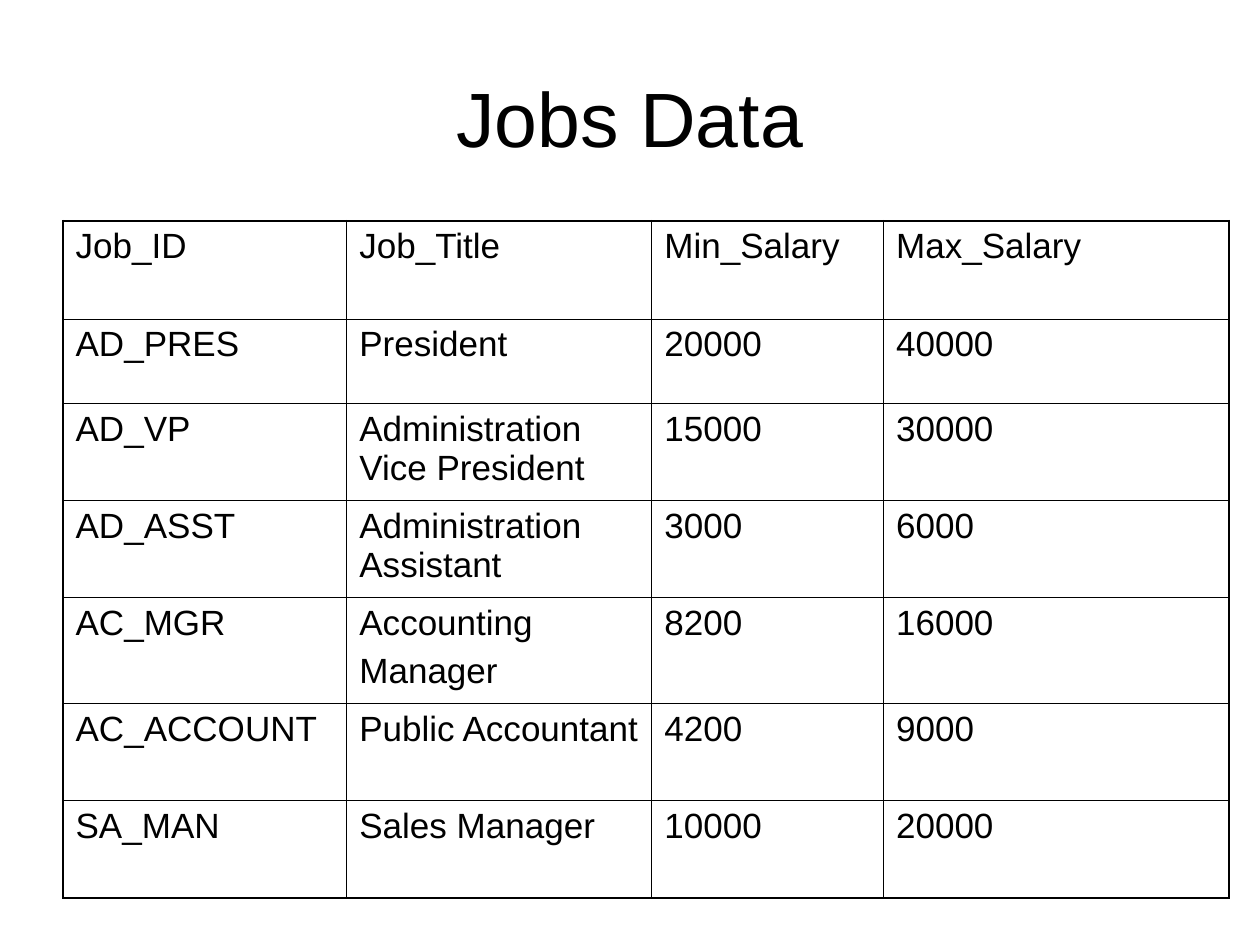
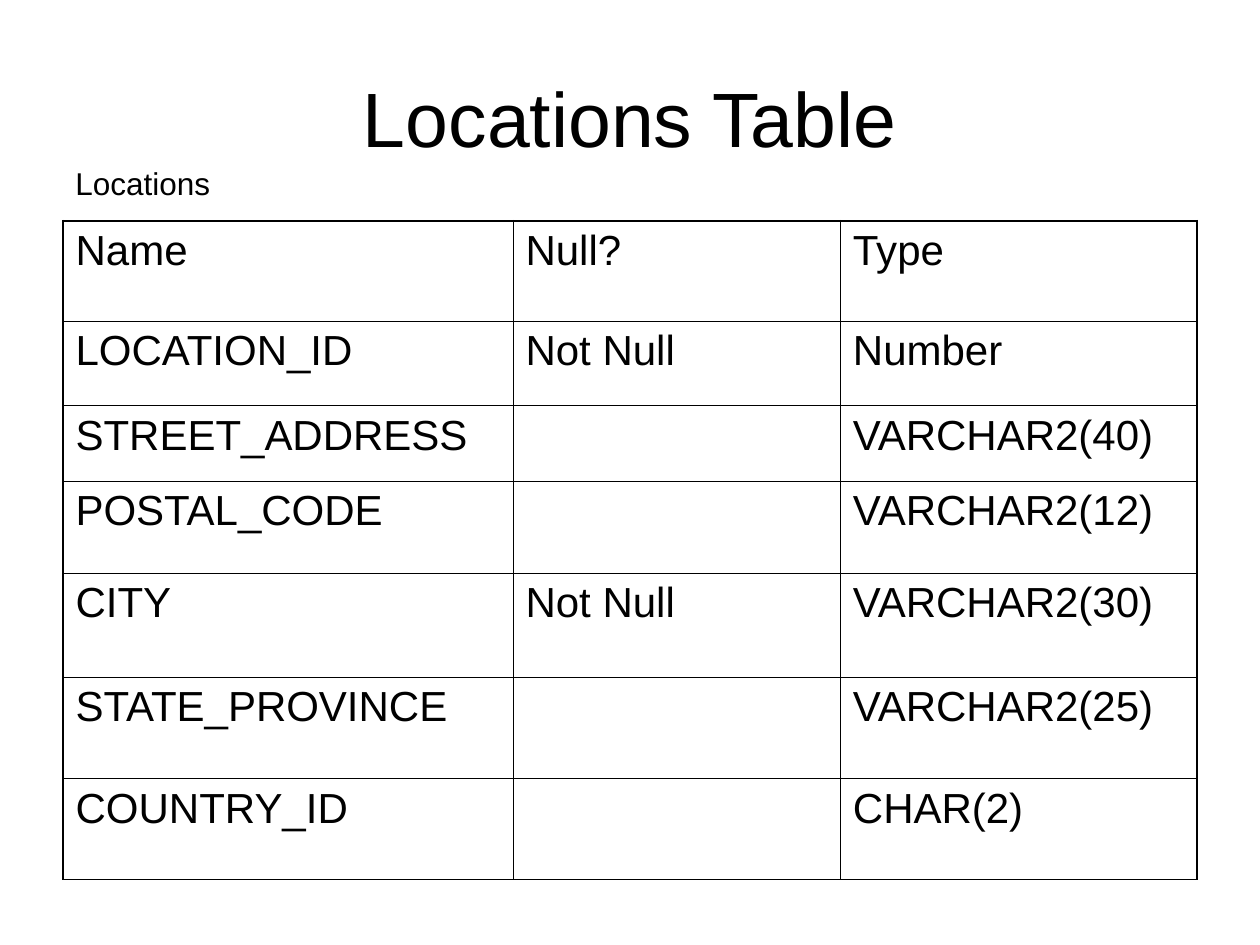
"""Builds two slides of database tables: jobs data and the locations layout."""
import dataclasses

import lxml.etree
import pptx
import pptx.dml.color
import pptx.enum.text
import pptx.oxml.ns
import pptx.util
from pptx.util import Cm


@dataclasses.dataclass(frozen=True)
class Theme:
    font: str = "Arial"
    ink: str = "000000"
    title: int = 44
    caption: int = 18
    outer_line: float = 1.08
    inner_line: float = 0.45


class Deck:
    def __init__(self, theme):
        self.theme = theme
        self.prs = pptx.Presentation()
        self.prs.slide_width = Cm(25.4)
        self.prs.slide_height = Cm(19.05)
        self.s = None

    def style(self, p, size):
        p.font.name = self.theme.font
        p.font.size = pptx.util.Pt(size)
        p.font.color.rgb = pptx.dml.color.RGBColor.from_string(self.theme.ink)

    def slide(self, title):
        self.s = self.prs.slides.add_slide(self.prs.slide_layouts[5])
        sp = self.s.shapes.title
        sp.left, sp.top, sp.width, sp.height = Cm(1.27), Cm(0.76), Cm(22.86), Cm(3.18)
        tf = sp.text_frame
        tf.text = title
        tf.vertical_anchor = pptx.enum.text.MSO_ANCHOR.MIDDLE
        tf.paragraphs[0].alignment = pptx.enum.text.PP_ALIGN.CENTER
        self.style(tf.paragraphs[0], self.theme.title)

    def caption(self, text, left, top, width, height):
        tf = self.s.shapes.add_textbox(Cm(left), Cm(top), Cm(width), Cm(height)).text_frame
        tf.word_wrap = False
        tf.auto_size = pptx.enum.text.MSO_AUTO_SIZE.SHAPE_TO_FIT_TEXT
        tf.text = text
        self.style(tf.paragraphs[0], self.theme.caption)

    def border(self, cell, side, width):
        qn = pptx.oxml.ns.qn
        ln = lxml.etree.SubElement(cell._tc.get_or_add_tcPr(), qn(f"a:ln{side}"))
        ln.set("w", str(int(pptx.util.Pt(width))))
        fill = lxml.etree.SubElement(ln, qn("a:solidFill"))
        lxml.etree.SubElement(fill, qn("a:srgbClr")).set("val", self.theme.ink)

    def table(self, data, widths, heights, size, gap):
        rows, cols = len(data), len(widths)
        table = self.s.shapes.add_table(
            rows, cols, Cm(1.27), Cm(4.45), Cm(sum(widths)), Cm(sum(heights))
        ).table
        table.first_row = table.horz_banding = False
        for column, width in zip(table.columns, widths):
            column.width = Cm(width)
        for row, height in zip(table.rows, heights):
            row.height = Cm(height)
        for i, values in enumerate(data):
            for j, value in enumerate(values):
                cell = table.cell(i, j)
                cell.text = value
                for n, p in enumerate(cell.text_frame.paragraphs):
                    self.style(p, size)
                    if n:
                        p.space_before = pptx.util.Pt(gap)
                edges = {"L": j == 0, "R": j == cols - 1, "T": i == 0, "B": i == rows - 1}
                for side, outer in edges.items():
                    width = self.theme.outer_line if outer else self.theme.inner_line
                    self.border(cell, side, width)
                cell.fill.background()


JOBS = [
    ("Job_ID", "Job_Title", "Min_Salary", "Max_Salary"),
    ("AD_PRES", "President", "20000", "40000"),
    ("AD_VP", "Administration Vice President", "15000", "30000"),
    ("AD_ASST", "Administration Assistant", "3000", "6000"),
    ("AC_MGR", "Accounting\nManager", "8200", "16000"),
    ("AC_ACCOUNT", "Public Accountant", "4200", "9000"),
    ("SA_MAN", "Sales Manager", "10000", "20000"),
]
LOCATIONS = [
    ("Name", "Null?", "Type"),
    ("LOCATION_ID", "Not Null", "Number"),
    ("STREET_ADDRESS", "", "VARCHAR2(40)"),
    ("POSTAL_CODE", "", "VARCHAR2(12)"),
    ("CITY", "Not Null", "VARCHAR2(30)"),
    ("STATE_PROVINCE", "", "VARCHAR2(25)"),
    ("COUNTRY_ID", "", "CHAR(2)"),
]


def main():
    deck = Deck(Theme())
    deck.slide("Jobs Data")
    deck.table(JOBS, (5.72, 6.15, 4.67, 6.96),
               (1.98, 1.7, 1.96, 1.96, 2.13, 1.96, 1.96), size=20, gap=5)
    deck.slide("Locations Table")
    deck.table(LOCATIONS, (9.07, 6.6, 7.19),
               (2.03, 1.7, 1.52, 1.85, 2.11, 2.04, 2.03), size=24, gap=6)
    deck.caption("Locations", 1.27, 3.18, 3.23, 1.02)
    deck.prs.save("out.pptx")


if __name__ == "__main__":
    main()
